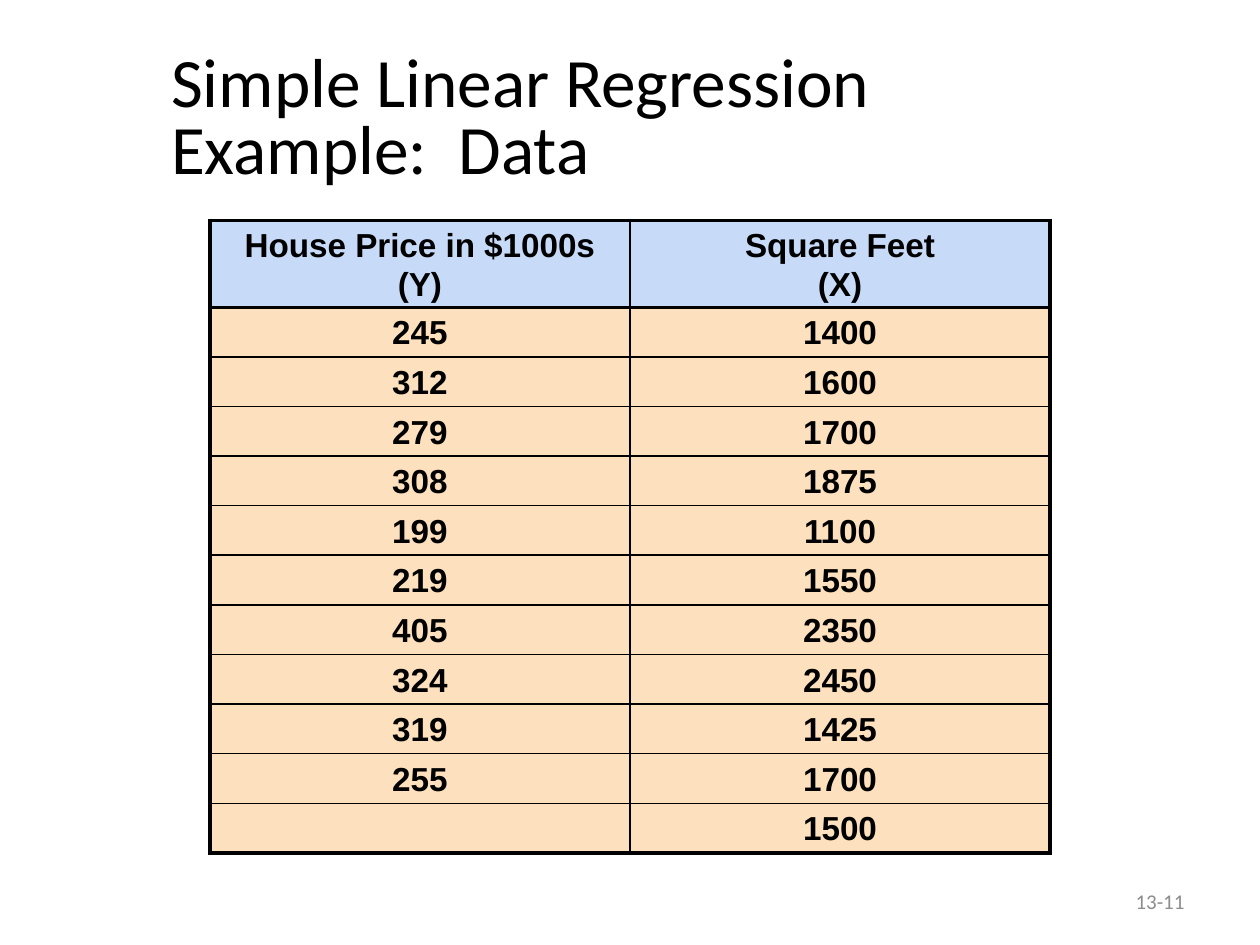
from pptx import Presentation
from pptx.dml.color import RGBColor
from pptx.enum.text import MSO_ANCHOR, PP_ALIGN
from pptx.oxml.ns import qn
from pptx.util import Cm, Pt
from lxml.etree import SubElement

BLACK = RGBColor(0, 0, 0)
GRAY = RGBColor(0x8C, 0x8C, 0x8C)
BLUE = RGBColor(0xC7, 0xDA, 0xF7)
PEACH = RGBColor(0xFD, 0xE0, 0xBD)

HEADS = ["House Price in $1000s\n(Y)", "Square Feet\n(X)"]
PRICES = [245, 312, 279, 308, 199, 219, 405, 324, 319, 255, ""]
FEET = [1400, 1600, 1700, 1875, 1100, 1550, 2350, 2450, 1425, 1700, 1500]


def style(para, name, size, color, bold=False):
    for run in para.runs:
        font = run.font
        font.name, font.size, font.bold = name, Pt(size), bold
        font.color.rgb = color


def border(cell, sides):
    props = cell._tc.get_or_add_tcPr()
    for spot, (side, width) in enumerate(sides.items()):
        line = props.makeelement(qn(f"a:ln{side}"), {"w": str(Pt(width))})
        fill = SubElement(line, qn("a:solidFill"))
        SubElement(fill, qn("a:srgbClr"), val=str(BLACK))
        props.insert(spot, line)


deck = Presentation()
deck.slide_width, deck.slide_height = Cm(25.4), Cm(19.05)
slide = deck.slides.add_slide(deck.slide_layouts[6])

# Title
title = slide.shapes.add_textbox(Cm(3.2), Cm(1.07), Cm(19.66), Cm(2.74))
frame = title.text_frame
frame.word_wrap = True
frame.vertical_anchor = MSO_ANCHOR.MIDDLE
frame.text = "Simple Linear Regression Example:  Data"
frame.paragraphs[0].line_spacing = 0.8
style(frame.paragraphs[0], "Calibri", 39.6, BLACK)

# Page number
page = slide.shapes.add_textbox(Cm(18.21), Cm(17.65), Cm(5.92), Cm(1.02))
frame = page.text_frame
frame.word_wrap = True
frame.vertical_anchor = MSO_ANCHOR.MIDDLE
frame.text = "13-11"
frame.paragraphs[0].alignment = PP_ALIGN.RIGHT
style(frame.paragraphs[0], "Calibri", 12, GRAY)

# Data table
rows = [HEADS, *zip(PRICES, FEET)]
last = len(rows) - 1
table = slide.shapes.add_table(
    len(rows), 2, Cm(4.23), Cm(4.44), Cm(16.94), Cm(12.73)).table
for col in table.columns:
    col.width = Cm(8.47)
for r, row in enumerate(rows):
    table.rows[r].height = Cm(1 if r else 1.73)
    for c, value in enumerate(row):
        cell = table.cell(r, c)
        cell.text = str(value)
        cell.vertical_anchor = MSO_ANCHOR.MIDDLE
        cell.margin_top, cell.margin_bottom = Cm(0.1), Cm(0.05)
        cell.fill.solid()
        cell.fill.fore_color.rgb = PEACH if r else BLUE
        for n, para in enumerate(cell.text_frame.paragraphs):
            para.alignment = PP_ALIGN.CENTER
            style(para, "Arial", 19, BLACK, True)
            if n:
                para.line_spacing = 0.8
                para.space_before = Pt(4.4)
        # Heavy frame and header rule, thin inner lines
        border(cell, {
            "L": 1 if c else 2.25,
            "R": 2.25 if c else 1,
            "T": 2.25 if r < 2 else 1,
            "B": 2.25 if r in (0, last) else 1,
        })

deck.save("out.pptx")
